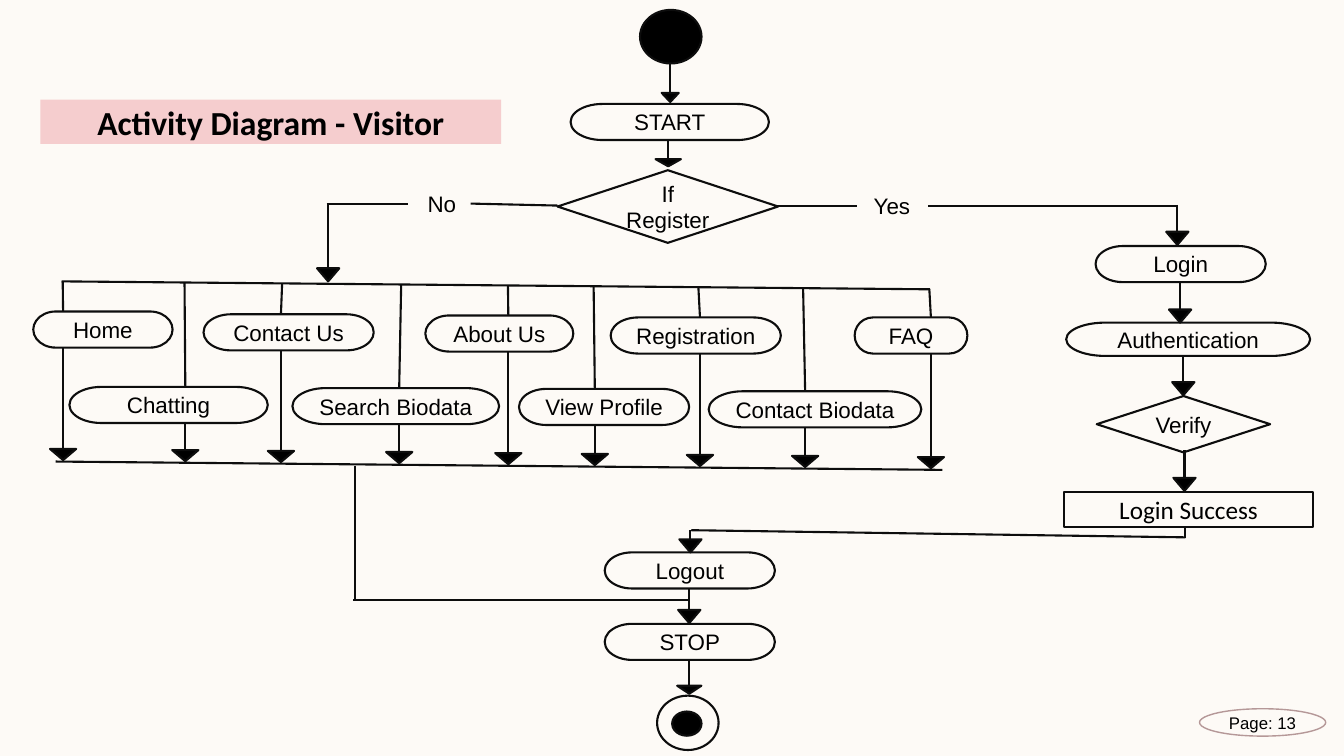
from dataclasses import dataclass

from lxml import etree
from pptx import Presentation
from pptx import util as u
from pptx.dml import color
from pptx.enum import shapes, text
from pptx.oxml import ns


@dataclass(frozen=True)
class Theme:
    paper: str = "FDFAF6"
    ink: str = "0D0D0D"
    black: str = "000000"
    banner: str = "F5CDCE"
    badge: str = "B59898"
    body_font: str = "Arial"
    title_font: str = "Calibri"
    title_size: float = 24
    result_size: float = 18
    body_size: float = 16
    page_size: float = 12
    stroke: float = 1.5
    thin: float = 1


class ActivityDiagram:
    def __init__(self, slide, theme):
        self.slide = slide
        self.theme = theme
        slide.background.fill.solid()
        slide.background.fill.fore_color.rgb = self.rgb(theme.paper)

    def rgb(self, value):
        return color.RGBColor.from_string(value)

    def node(self, preset, box, fill=None, line=None, stroke=None):
        node = self.slide.shapes.add_shape(preset, *map(u.Cm, box))
        node.shadow.inherit = False
        if fill:
            node.fill.solid()
            node.fill.fore_color.rgb = self.rgb(fill)
        else:
            node.fill.background()
        if line:
            node.line.color.rgb = self.rgb(line)
            node.line.width = u.Pt(stroke or self.theme.stroke)
        else:
            node.line.fill.background()
        return node

    def label(self, node, words, size=None, font=None, bold=False):
        frame = node.text_frame
        frame.word_wrap = True
        frame.margin_left = frame.margin_right = u.Cm(0)
        frame.margin_top = frame.margin_bottom = u.Cm(0)
        frame.vertical_anchor = text.MSO_ANCHOR.MIDDLE
        frame.text = words
        for paragraph in frame.paragraphs:
            paragraph.alignment = text.PP_ALIGN.CENTER
            for run in paragraph.runs:
                run.font.size = u.Pt(size or self.theme.body_size)
                run.font.name = font or self.theme.body_font
                run.font.bold = bold
                run.font.color.rgb = self.rgb(self.theme.black)

    def step(self, words, left, top, width, height=0.91):
        preset = shapes.MSO_SHAPE.FLOWCHART_TERMINATOR
        box = (left, top, width, height)
        self.label(self.node(preset, box, line=self.theme.ink), words)

    def decision(self, words, *box):
        preset = shapes.MSO_SHAPE.FLOWCHART_DECISION
        self.label(self.node(preset, box, line=self.theme.ink), words)

    def answer(self, words, *box):
        preset = shapes.MSO_SHAPE.FLOWCHART_TERMINATOR
        self.label(self.node(preset, box), words)

    def disc(self, box, fill=None):
        self.node(shapes.MSO_SHAPE.OVAL, box, fill, self.theme.ink)

    def line(self, *ends):
        link = self.slide.shapes.add_connector(
            shapes.MSO_CONNECTOR.STRAIGHT, *map(u.Cm, ends))
        link.line.color.rgb = self.rgb(self.theme.ink)
        link.line.width = u.Pt(self.theme.stroke)
        etree.SubElement(link._element.spPr, ns.qn("a:effectLst"))

    def arrow(self, x, start, tip, head=(0.56, 0.33)):
        width, height = head
        self.line(x, start, x, tip - height)
        box = (x - width / 2, tip - height, width, height)
        point = self.node(shapes.MSO_SHAPE.FLOWCHART_EXTRACT, box,
                          self.theme.black, self.theme.ink)
        point.rotation = 180


FORK = (1.55, 7.09, 23.44, 7.29)
JOIN = (1.4, 11.63, 23.75, 11.84)
JOIN_HEAD = (0.66, 0.28)
JOIN_GAP = 0.04

BRANCHES = [
    ("Home", 0.84, 7.85, 3.51, 1.58, 1.59),
    ("Chatting", 1.75, 9.75, 5.0, 4.65, 4.67),
    ("Contact Us", 5.13, 7.92, 4.29, 7.11, 7.08),
    ("Search Biodata", 7.37, 9.78, 5.21, 10.11, 10.06),
    ("About Us", 10.72, 7.95, 3.73, 12.8, 12.81),
    ("View Profile", 13.08, 9.8, 4.29, 14.96, 14.99),
    ("Registration", 15.39, 8.0, 4.29, 17.6, 17.64),
    ("Contact Biodata", 17.86, 9.86, 5.36, 20.24, 20.29),
    ("FAQ", 21.54, 8.0, 2.84, 23.42, 23.46),
]

STEPS = [
    ("START", 14.38, 2.62, 5.0),
    ("Login", 27.61, 6.2, 4.29),
    ("Authentication", 26.87, 8.13, 6.15, 0.84),
    ("Logout", 15.24, 13.92, 4.29),
    ("STOP", 15.24, 15.72, 4.29),
]

ARROWS = [
    (16.89, 1.57, 2.57, (0.43, 0.23)),
    (16.84, 3.53, 4.19, (0.64, 0.18)),
    (8.27, 5.13, 7.09),
    (29.67, 5.16, 6.17),
    (29.74, 7.11, 8.13),
    (29.82, 8.97, 9.96),
    (29.85, 11.35, 12.37),
    (17.4, 13.36, 13.92),
    (17.37, 14.83, 15.7),
    (17.37, 16.66, 17.48, (0.61, 0.2)),
]

LINKS = [
    FORK,
    JOIN,
    (11.86, 5.13, 14.05, 5.18),
    (8.23, 5.13, 10.29, 5.13),
    (19.53, 5.18, 21.59, 5.18),
    (23.39, 5.18, 29.67, 5.18),
    (29.87, 13.28, 29.87, 13.56),
    (29.87, 13.54, 17.42, 13.36),
    (8.94, 11.73, 8.94, 15.11),
    (17.37, 15.11, 8.89, 15.11),
]


def height_at(bar, x):
    left, start, right, end = bar
    return start + (end - start) * (x - left) / (right - left)


def main():
    deck = Presentation()
    deck.slide_width, deck.slide_height = u.Cm(33.87), u.Cm(19.05)
    theme = Theme()
    diagram = ActivityDiagram(deck.slides.add_slide(deck.slide_layouts[6]), theme)

    page = diagram.node(shapes.MSO_SHAPE.OVAL, (30.23, 17.86, 3.18, 0.69),
                        line=theme.badge, stroke=theme.thin)
    diagram.label(page, "Page: 13", theme.page_size)
    title = diagram.node(shapes.MSO_SHAPE.RECTANGLE, (1.02, 2.51, 11.61, 1.12),
                         theme.banner)
    diagram.label(title, "Activity Diagram - Visitor", theme.title_size,
                  theme.title_font, True)

    for link in LINKS:
        diagram.line(*link)
    for arrow in ARROWS:
        diagram.arrow(*arrow)
    for step in STEPS:
        diagram.step(*step)

    diagram.decision("If\nRegister", 14.05, 4.29, 5.56, 1.83)
    diagram.decision("Verify", 27.64, 9.98, 4.37, 1.42)
    diagram.answer("No", 10.41, 4.7, 1.45, 0.86)
    diagram.answer("Yes", 21.59, 4.8, 1.78, 0.74)
    success = diagram.node(shapes.MSO_SHAPE.RECTANGLE, (26.82, 12.4, 6.27, 0.89),
                           line=theme.ink)
    diagram.label(success, "Login Success", theme.result_size, theme.title_font)

    for name, left, top, width, entry, leave in BRANCHES:
        diagram.line(entry, height_at(FORK, entry), leave, top)
        diagram.step(name, left, top, width)
        diagram.arrow(leave, top + 0.91, height_at(JOIN, leave) - JOIN_GAP, JOIN_HEAD)

    diagram.disc((16.13, 0.25, 1.55, 1.35), theme.black)
    diagram.disc((16.56, 17.53, 1.55, 1.37))
    diagram.disc((16.94, 17.93, 0.74, 0.61), theme.black)

    deck.save("out.pptx")


if __name__ == "__main__":
    main()
